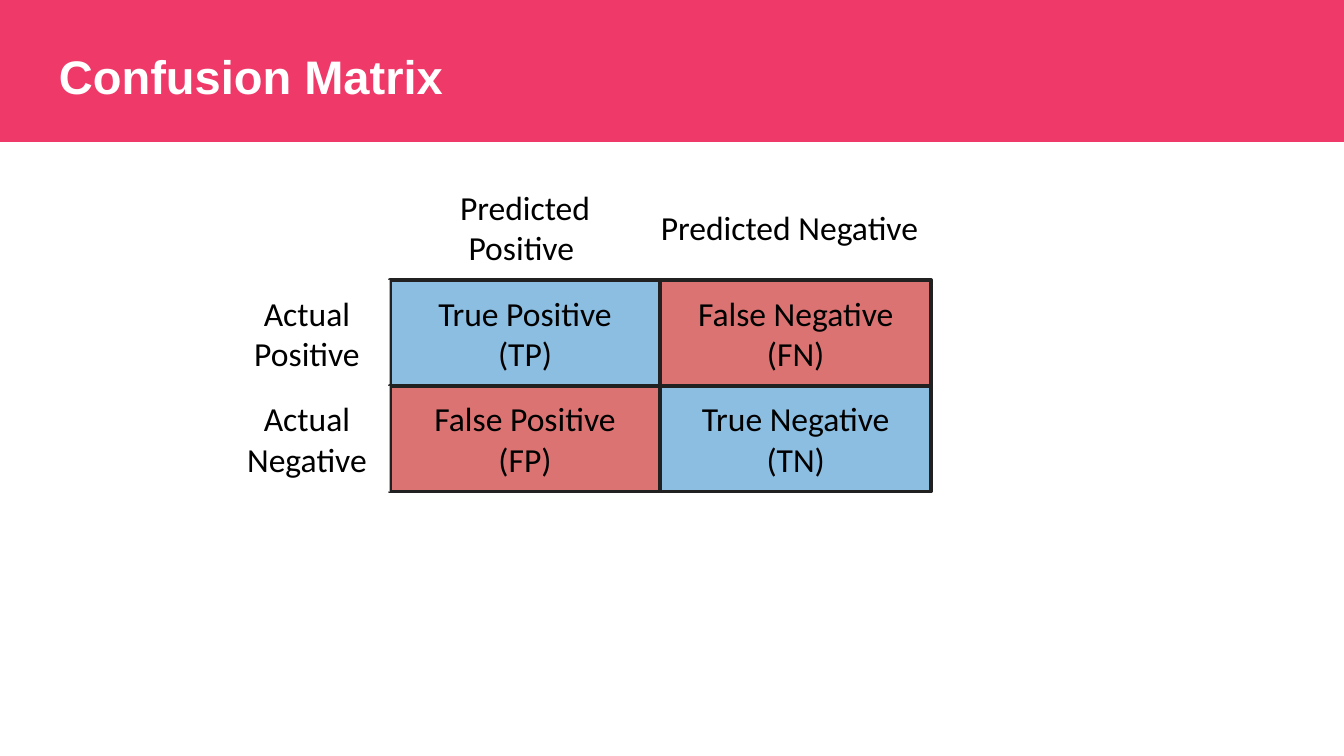
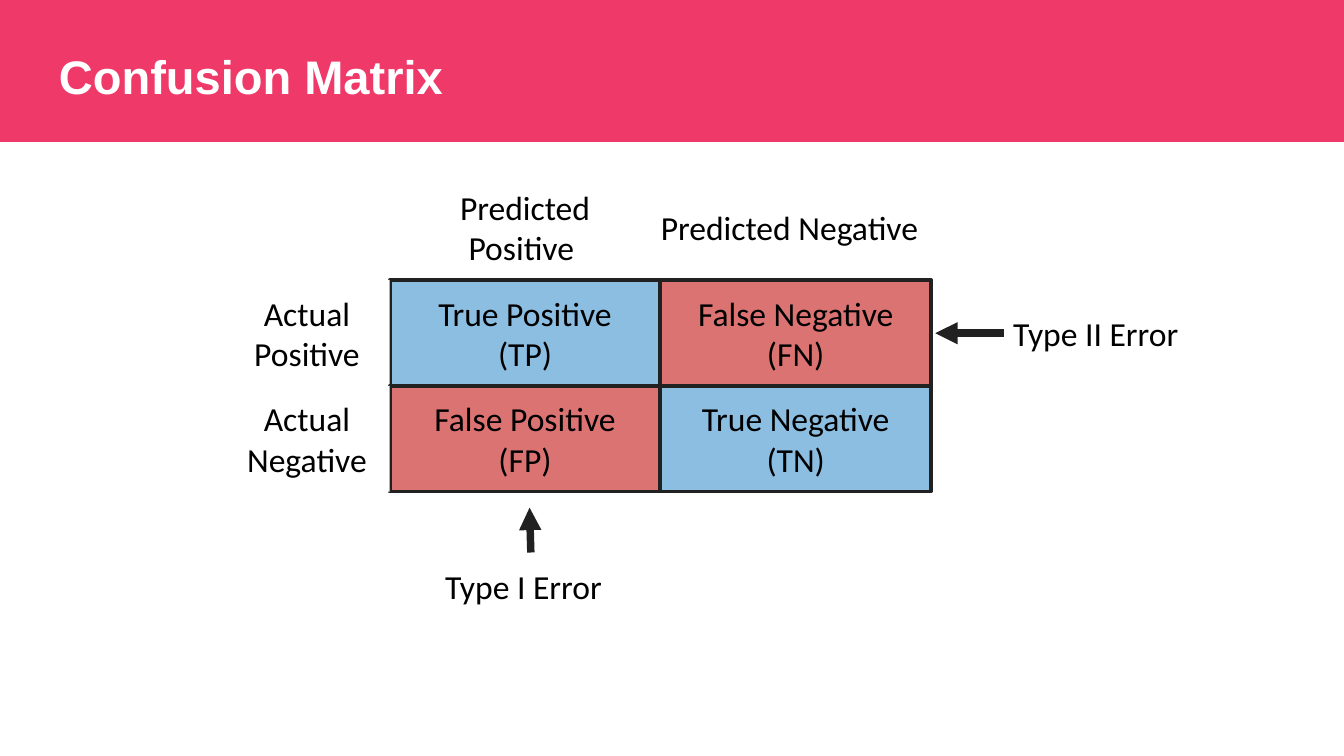
from lxml import etree
from pptx import Presentation
from pptx.dml.color import RGBColor
from pptx.enum import shapes, text
from pptx.oxml import ns
from pptx.util import Pt

COLORS = {
    "band": "EF3969",
    "white": "FFFFFF",
    "black": "000000",
    "ink": "212121",
    "correct": "0070C0",
    "wrong": "C00000",
}
ALPHA = {"correct": 45, "wrong": 55}
BODY = {"name": "Calibri", "size": Pt(18), "bold": False}
TITLE = {"name": "Arial", "size": Pt(25.2), "bold": True}

SLIDE_W, SLIDE_H = 720, 405
LEFT, TOP = 208.8, 150
COL_W, ROW_H = 145, 56.7
LABEL_W = 88.6
HEADER_Y = TOP - ROW_H

HEADERS = [("Predicted\nPositive ", LEFT, COL_W), ("Predicted Negative", 347, 152)]
ROWS = [
    ("Actual Positive", [("True Positive\n(TP)", "correct"), ("False Negative\n(FN)", "wrong")]),
    ("Actual Negative", [("False Positive\n(FP)", "wrong"), ("True Negative\n(TN)", "correct")]),
]
ERROR_SIZE = (113, 36)
ERRORS = [
    ("Type I Error", (224, 296), (284.4, 296, 283.7, 272)),
    ("Type II Error", (530.6, 160.6), (537.8, 178.5, 501.1, 178.5)),
]


def rgb(name):
    return RGBColor.from_string(COLORS[name])


def set_attrs(obj, values):
    for key, value in values.items():
        setattr(obj, key, value)


def write(sp, words, font=BODY, color="black", inset=4.5,
          align=text.PP_ALIGN.CENTER, anchor=text.MSO_ANCHOR.MIDDLE):
    tf = sp.text_frame
    sides = ("left", "top", "right", "bottom")
    set_attrs(tf, {f"margin_{side}": Pt(inset) for side in sides})
    set_attrs(tf, {"word_wrap": True, "vertical_anchor": anchor, "text": words})
    for p in tf.paragraphs:
        p.alignment = align
        for r in p.runs:
            set_attrs(r.font, font)
            r.font.color.rgb = rgb(color)


def add_text(s, words, x, y, w, h, **style):
    write(s.shapes.add_textbox(Pt(x), Pt(y), Pt(w), Pt(h)), words, **style)


def add_rect(s, x, y, w, h, fill, outlined=False):
    sp = s.shapes.add_shape(shapes.MSO_SHAPE.RECTANGLE, Pt(x), Pt(y), Pt(w), Pt(h))
    sp.shadow.inherit = False
    sp.fill.solid()
    sp.fill.fore_color.rgb = rgb(fill)
    if fill in ALPHA:
        clr = sp.element.spPr.find(ns.qn("a:solidFill"))[0]
        etree.SubElement(clr, ns.qn("a:alpha")).set("val", str(ALPHA[fill] * 1000))
    if outlined:
        sp.line.color.rgb = rgb("ink")
        sp.line.width = Pt(2)
    else:
        sp.line.fill.background()
    return sp


def add_arrow(s, x1, y1, x2, y2):
    arrow = s.shapes.add_connector(
        shapes.MSO_CONNECTOR.STRAIGHT, Pt(x1), Pt(y1), Pt(x2), Pt(y2))
    arrow.line.color.rgb = rgb("ink")
    arrow.line.width = Pt(4)
    ln = arrow.line.element if hasattr(arrow.line, "element") else arrow.element.spPr.find(ns.qn("a:ln"))
    etree.SubElement(ln, ns.qn("a:tailEnd")).set("type", "triangle")
    etree.SubElement(arrow.element.spPr, ns.qn("a:effectLst"))


def add_matrix(s):
    for words, x, w in HEADERS:
        add_text(s, words, x, HEADER_Y, w, ROW_H)
    for row, (label, cells) in enumerate(ROWS):
        y = TOP + row * ROW_H
        for col, (words, kind) in enumerate(cells):
            write(add_rect(s, LEFT + col * COL_W, y, COL_W, ROW_H, kind, True), words)
        write(add_rect(s, LEFT - LABEL_W, y, LABEL_W, ROW_H, "white"), label)


def add_errors(s):
    for words, place, _ in ERRORS:
        add_text(s, words, *place, *ERROR_SIZE)
    for _, _, ends in ERRORS:
        add_arrow(s, *ends)


def add_slide(prs, title):
    s = prs.slides.add_slide(prs.slide_layouts[6])
    add_rect(s, 0, 0, SLIDE_W, 76, "band")
    add_text(s, title, 24.5, 18, 671, 45, font=TITLE, color="white", inset=7.2,
             align=text.PP_ALIGN.LEFT, anchor=text.MSO_ANCHOR.TOP)
    return s


def main():
    prs = Presentation()
    set_attrs(prs, {"slide_width": Pt(SLIDE_W), "slide_height": Pt(SLIDE_H)})
    for show_errors in (False, True):
        s = add_slide(prs, "Confusion Matrix")
        add_matrix(s)
        if show_errors:
            add_errors(s)
    prs.save("out.pptx")


if __name__ == "__main__":
    main()
